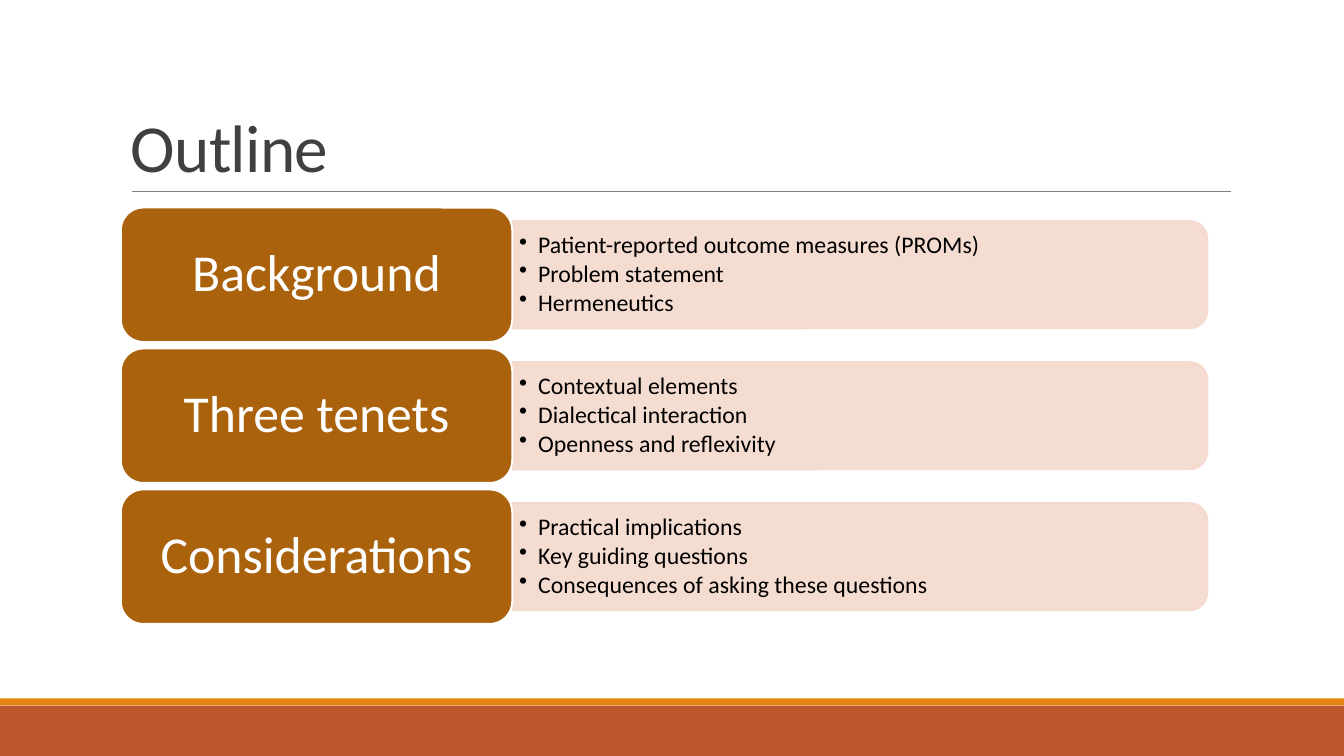
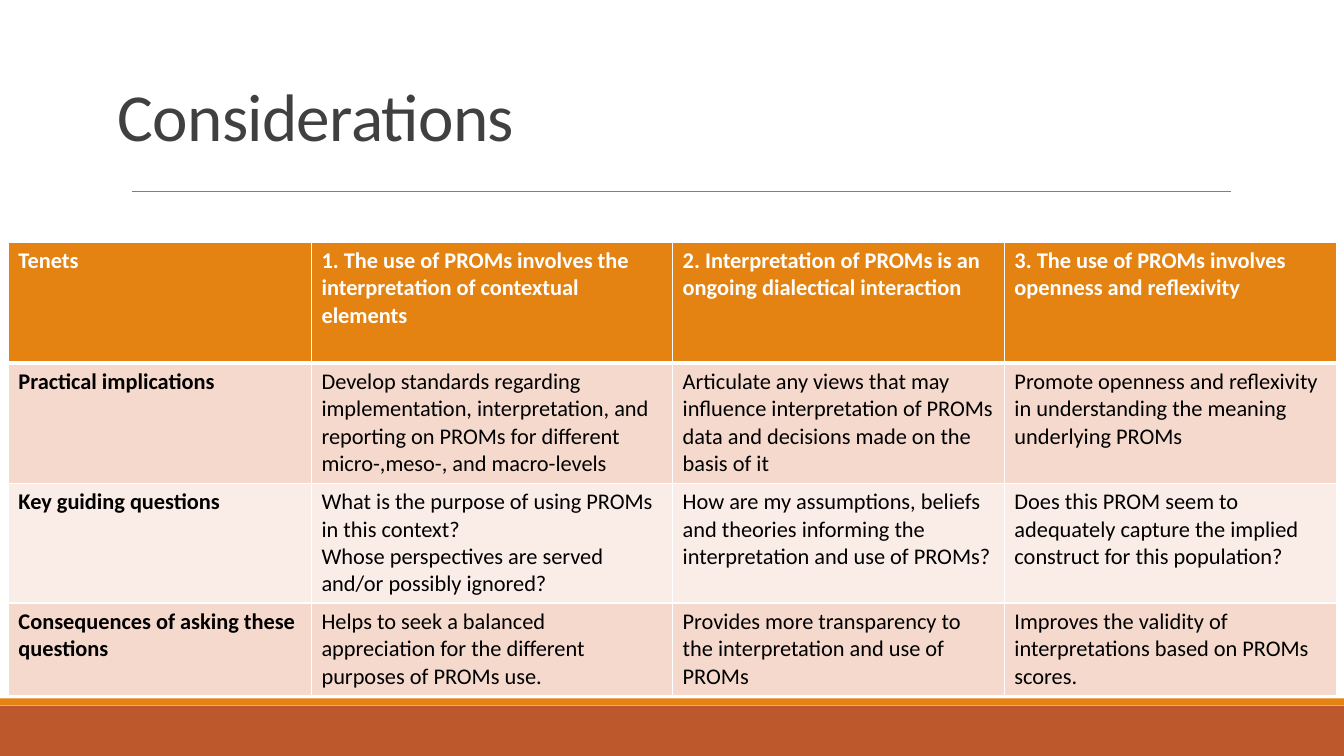
from lxml import etree
from pptx import Presentation
from pptx.dml.color import RGBColor
from pptx.enum.shapes import MSO_CONNECTOR, MSO_SHAPE
from pptx.enum.text import MSO_ANCHOR, PP_ALIGN
from pptx.oxml.ns import qn
from pptx.util import Pt

RECT, ROUNDED = MSO_SHAPE.RECTANGLE, MSO_SHAPE.ROUNDED_RECTANGLE
TWO_ROUNDED = MSO_SHAPE.ROUND_2_SAME_RECTANGLE
STRAIGHT = MSO_CONNECTOR.STRAIGHT
TOP, MIDDLE, BOTTOM = MSO_ANCHOR.TOP, MSO_ANCHOR.MIDDLE, MSO_ANCHOR.BOTTOM
LEFT, CENTER = PP_ALIGN.LEFT, PP_ALIGN.CENTER

OUTLINE = [
    ("Background", ["Patient-reported outcome measures (PROMs)", "Problem statement", "Hermeneutics"]),
    ("Three tenets", ["Contextual elements", "Dialectical interaction", "Openness and reflexivity"]),
    ("Considerations", ["Practical implications", "Key guiding questions",
                        "Consequences of asking these questions"]),
]
CONSIDERATIONS = [
    ("Tenets",
     "1. The use of PROMs involves the interpretation of contextual elements",
     "2. Interpretation of PROMs is an ongoing dialectical interaction",
     "3. The use of PROMs involves openness and reflexivity"),
    ("Practical implications",
     "Develop standards regarding implementation, interpretation, and reporting on PROMs "
     "for different micro-,meso-, and macro-levels",
     "Articulate any views that may influence interpretation of PROMs data and decisions "
     "made on the basis of it",
     "Promote openness and reflexivity in understanding the meaning underlying PROMs"),
    ("Key guiding questions",
     "What is the purpose of using PROMs in this context?\n"
     "Whose perspectives are served and/or possibly ignored?",
     "How are my assumptions, beliefs and theories informing the interpretation and use of PROMs?",
     "Does this PROM seem to adequately capture the implied construct for this population?"),
    ("Consequences of asking these questions",
     "Helps to seek a balanced appreciation for the different purposes of PROMs use.",
     "Provides more transparency to the interpretation and use of PROMs",
     "Improves the validity of interpretations based on PROMs scores."),
]
COLUMN_WIDTHS = [216.5, 258, 237, 237]
ROW_HEIGHTS = [86.4, 86, 85.5, 66]

THEME = {
    "font": "Calibri",
    "white": "FFFFFF", "black": "000000", "title": "404040", "rule": "808080",
    "band": "BD582C", "accent": "E48312", "label": "AB620D",
    "panel": "F5D9CC", "pale": "FAEDE7",
    "title_size": 48, "label_size": 37, "bullet_size": 17, "cell_size": 16,
}
WIDTH, HEIGHT = 960, 540


def color(name):
    return RGBColor.from_string(THEME[name])


def apply(target, values):
    for key, value in values.items():
        setattr(target, key, value)


def write(frame, text, size, ink, bold=False, paragraph_format=None):
    frame.text = text
    for paragraph in frame.paragraphs:
        apply(paragraph, paragraph_format or {})
        apply(paragraph.font, {"name": THEME["font"], "size": Pt(size), "bold": bold})
        paragraph.font.color.rgb = color(ink)


def set_margins(frame, side, end):
    apply(frame, {"word_wrap": True, "margin_left": Pt(side), "margin_right": Pt(side),
                  "margin_top": Pt(end), "margin_bottom": Pt(end)})


def add_box(slide, kind, box, fill, line=None):
    shape = slide.shapes.add_shape(kind, *map(Pt, box))
    shape.shadow.inherit = False
    shape.fill.solid()
    shape.fill.fore_color.rgb = color(fill)
    if line:
        shape.line.color.rgb = color(line)
        shape.line.width = Pt(1.25)
    else:
        shape.line.fill.background()
    return shape


def add_text(slide, box, anchor, side=7.2, end=3.6):
    frame = slide.shapes.add_textbox(*map(Pt, box)).text_frame
    set_margins(frame, side, end)
    frame.vertical_anchor = anchor
    return frame


def add_slide(deck, title, left, top):
    slide = deck.slides.add_slide(deck.slide_layouts[6])
    add_box(slide, RECT, (0, 504, WIDTH, 36), "band")
    add_box(slide, RECT, (0, 498.8, WIDTH, 5.04), "accent")
    rule = slide.shapes.add_connector(STRAIGHT, Pt(94.3), Pt(136.6), Pt(879), Pt(136.6))
    rule.line.color.rgb = color("rule")
    rule.line.width = Pt(0.5)
    etree.SubElement(rule._element.spPr, qn("a:effectLst"))
    frame = add_text(slide, (left, top, 792, 114.2), BOTTOM)
    write(frame, title, THEME["title_size"], "title", paragraph_format={"line_spacing": 0.85})
    frame.paragraphs[0].runs[0].font._element.set("spc", "-50")
    for run in frame.paragraphs[0].runs:
        apply(run.font, {"name": THEME["font"], "size": Pt(THEME["title_size"])})
        run.font.color.rgb = color("title")
    return slide


def add_panel(slide, left, top, width, height):
    turned = (left + (width - height) / 2, top + (height - width) / 2, height, width)
    panel = add_box(slide, TWO_ROUNDED, turned, "panel", "panel")
    panel.rotation = 90
    for tint in panel._element.spPr.iter(qn("a:srgbClr")):
        etree.SubElement(tint, qn("a:alpha"), val="90000")


def add_bullets(frame, items):
    write(frame, "\n".join(items), THEME["bullet_size"], "black",
          paragraph_format={"line_spacing": 0.9, "space_after": Pt(2.2), "alignment": LEFT})
    indent = Pt(13.5)
    for paragraph in frame.paragraphs:
        properties = paragraph._p.get_or_add_pPr()
        properties.set("marL", str(indent))
        properties.set("indent", str(-indent))
        bullet = etree.Element(qn("a:buChar"), char="•")
        properties.find(qn("a:spcAft")).addnext(bullet)


def add_outline(slide):
    left, top, label_width, label_height = 86.4, 148.3, 279.4, 95.9
    pitch = label_height * 1.05
    panel_left, panel_width, panel_height = left + label_width, 496.7, 76.7
    for index, (topic, items) in enumerate(OUTLINE):
        label_top = top + index * pitch
        panel_top = label_top + (label_height - panel_height) / 2
        add_panel(slide, panel_left, panel_top, panel_width, panel_height)
        add_bullets(add_text(slide, (panel_left, panel_top + 3.8, 492.5, 69.1), MIDDLE, 5.1, 2.6), items)
        label = add_box(slide, ROUNDED, (left, label_top, label_width, label_height), "label", "white")
        set_margins(label.text_frame, 10.8, 5.4)
        label.text_frame.vertical_anchor = MIDDLE
        write(label.text_frame, topic, THEME["label_size"], "white",
              paragraph_format={"line_spacing": 0.9, "alignment": CENTER})


def add_borders(cell, widths):
    properties = cell._tc.get_or_add_tcPr()
    for index, (side, width) in enumerate(widths.items()):
        border = etree.Element(qn("a:" + side), w=str(Pt(width)))
        fill = etree.SubElement(border, qn("a:solidFill"))
        etree.SubElement(fill, qn("a:srgbClr"), val=THEME["white"])
        properties.insert(index, border)


def add_considerations(slide):
    table = slide.shapes.add_table(len(ROW_HEIGHTS), len(COLUMN_WIDTHS), Pt(6), Pt(172.8),
                                   Pt(sum(COLUMN_WIDTHS)), Pt(sum(ROW_HEIGHTS))).table
    for column, width in zip(table.columns, COLUMN_WIDTHS):
        column.width = Pt(width)
    for row, (height, texts) in enumerate(zip(ROW_HEIGHTS, CONSIDERATIONS)):
        table.rows[row].height = Pt(height)
        header = row == 0
        fill = "accent" if header else ("pale", "panel")[row % 2]
        for column, text in enumerate(texts):
            cell = table.cell(row, column)
            cell.vertical_anchor = TOP
            cell.fill.solid()
            cell.fill.fore_color.rgb = color(fill)
            write(cell.text_frame, text, THEME["cell_size"], "white" if header else "black",
                  bold=header or column == 0)
            add_borders(cell, {"lnL": 1, "lnR": 1, "lnT": 3 if row == 1 else 1,
                               "lnB": 3 if header else 1})


deck = Presentation()
deck.slide_width, deck.slide_height = Pt(WIDTH), Pt(HEIGHT)
add_outline(add_slide(deck, "Outline", 86.4, 22.4))
add_considerations(add_slide(deck, "Considerations", 77, 0))
deck.save("out.pptx")
